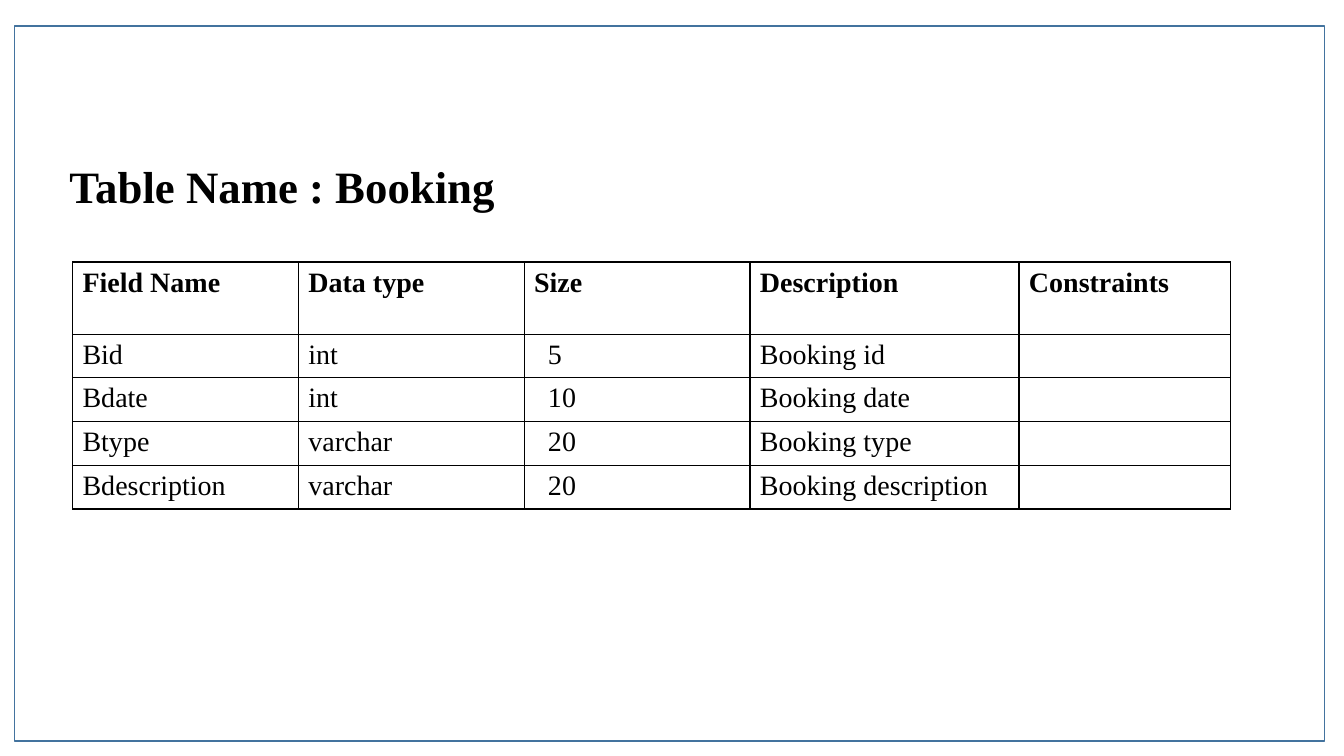
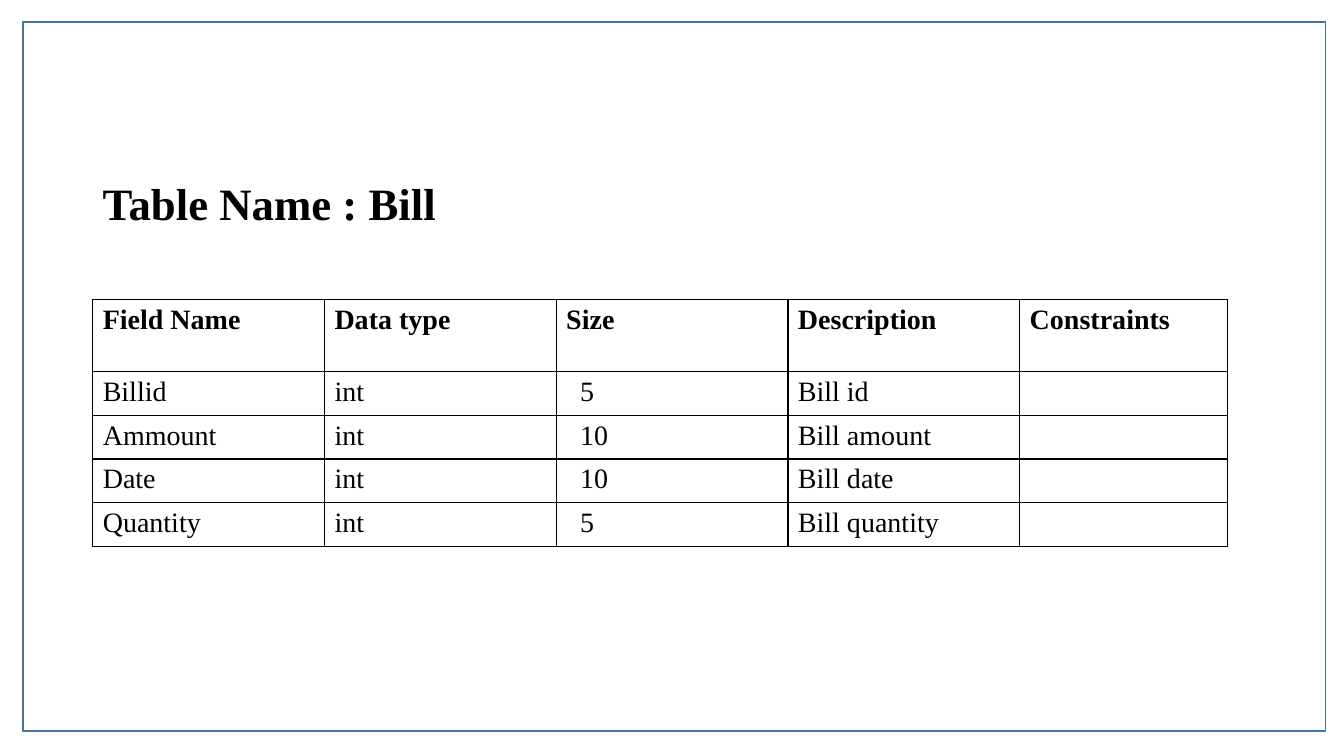
from lxml.etree import SubElement
from pptx import Presentation
from pptx.dml.color import RGBColor
from pptx.enum.shapes import MSO_SHAPE
from pptx.enum.text import MSO_ANCHOR
from pptx.oxml.ns import qn
from pptx.util import Cm, Pt

COLORS = {"text": "000000", "grid": "000000", "frame": "43739E"}
FONT = "Times New Roman"
TITLE_HEIGHT = 3.68
HEADER_HEIGHT, ROW_HEIGHT = 1.82, 1.05
CELL_MARGIN, SIZE_INDENT = 0.25, 0.35
HEADERS = ["Field Name", "Data type", "Size", "Description", "Constraints"]
SIZE_COLUMN = HEADERS.index("Size")

# Places are in centimetres
TABLES = [
    {
        "name": "Booking",
        "title": (1.5, 2.92, 29.21),
        "table": (1.83, 6.6),
        "columns": [5.69, 5.69, 5.69, 6.78, 5.33],
        "frame": (0.36, 0.66, 33.02, 18.01),
        "rows": [
            ["Bid", "int", "5", "Booking id", ""],
            ["Bdate", "int", "10", "Booking date", ""],
            ["Btype", "varchar", "20", "Booking type", ""],
            ["Bdescription", "varchar", "20", "Booking description", ""],
        ],
    },
    {
        "name": "Bill",
        "title": (2.34, 3.35, 28.6),
        "table": (2.34, 7.54),
        "columns": [5.84, 5.84, 5.84, 5.84, 5.23],
        "frame": (0.58, 0.56, 32.82, 17.86),
        "rows": [
            ["Billid", "int", "5", "Bill id", ""],
            ["Ammount", "int", "10", "Bill amount", ""],
            ["Date", "int", "10", "Bill date", ""],
            ["Quantity", "int", "5", "Bill quantity", ""],
        ],
    },
]


def write_text(text_frame, text, size=20, bold=False, spacing=1.0):
    text_frame.word_wrap = True
    paragraph = text_frame.paragraphs[0]
    paragraph.line_spacing = spacing
    paragraph.font.size = Pt(size)
    if text:
        run = paragraph.add_run()
        run.text = text
        run.font.name = FONT
        run.font.size = Pt(size)
        run.font.bold = bold
        run.font.color.rgb = RGBColor.from_string(COLORS["text"])


def add_borders(cell):
    properties = cell._tc.get_or_add_tcPr()
    for side in ("a:lnL", "a:lnR", "a:lnT", "a:lnB"):
        line = SubElement(properties, qn(side), w=str(Pt(1)))
        fill = SubElement(line, qn("a:solidFill"))
        SubElement(fill, qn("a:srgbClr"), val=COLORS["grid"])


presentation = Presentation()
presentation.slide_width, presentation.slide_height = Cm(33.87), Cm(19.05)

for content in TABLES:
    slide = presentation.slides.add_slide(presentation.slide_layouts[6])

    # Title
    left, top, width = content["title"]
    title = slide.shapes.add_textbox(Cm(left), Cm(top), Cm(width), Cm(TITLE_HEIGHT))
    title.text_frame.vertical_anchor = MSO_ANCHOR.MIDDLE
    write_text(title.text_frame, f"Table Name : {content['name']}",
               size=32, bold=True, spacing=0.9)

    # Field table
    rows = [HEADERS] + content["rows"]
    heights = [HEADER_HEIGHT] + [ROW_HEIGHT] * len(content["rows"])
    left, top = content["table"]
    table = slide.shapes.add_table(
        len(rows), len(HEADERS), Cm(left), Cm(top),
        Cm(sum(content["columns"])), Cm(sum(heights))).table
    table.first_row = table.horz_banding = False
    for column, width in zip(table.columns, content["columns"]):
        column.width = Cm(width)
    for row_index, (values, height) in enumerate(zip(rows, heights)):
        table.rows[row_index].height = Cm(height)
        is_header = row_index == 0
        for column_index, value in enumerate(values):
            cell = table.cell(row_index, column_index)
            add_borders(cell)
            cell.fill.background()
            indented = column_index == SIZE_COLUMN and not is_header
            cell.margin_left = Cm(CELL_MARGIN + SIZE_INDENT * indented)
            write_text(cell.text_frame, value, bold=is_header)

    # Slide frame
    frame = slide.shapes.add_shape(MSO_SHAPE.RECTANGLE, *map(Cm, content["frame"]))
    frame.shadow.inherit = False
    frame.fill.background()
    frame.line.color.rgb = RGBColor.from_string(COLORS["frame"])
    frame.line.width = Pt(1)

presentation.save("out.pptx")
